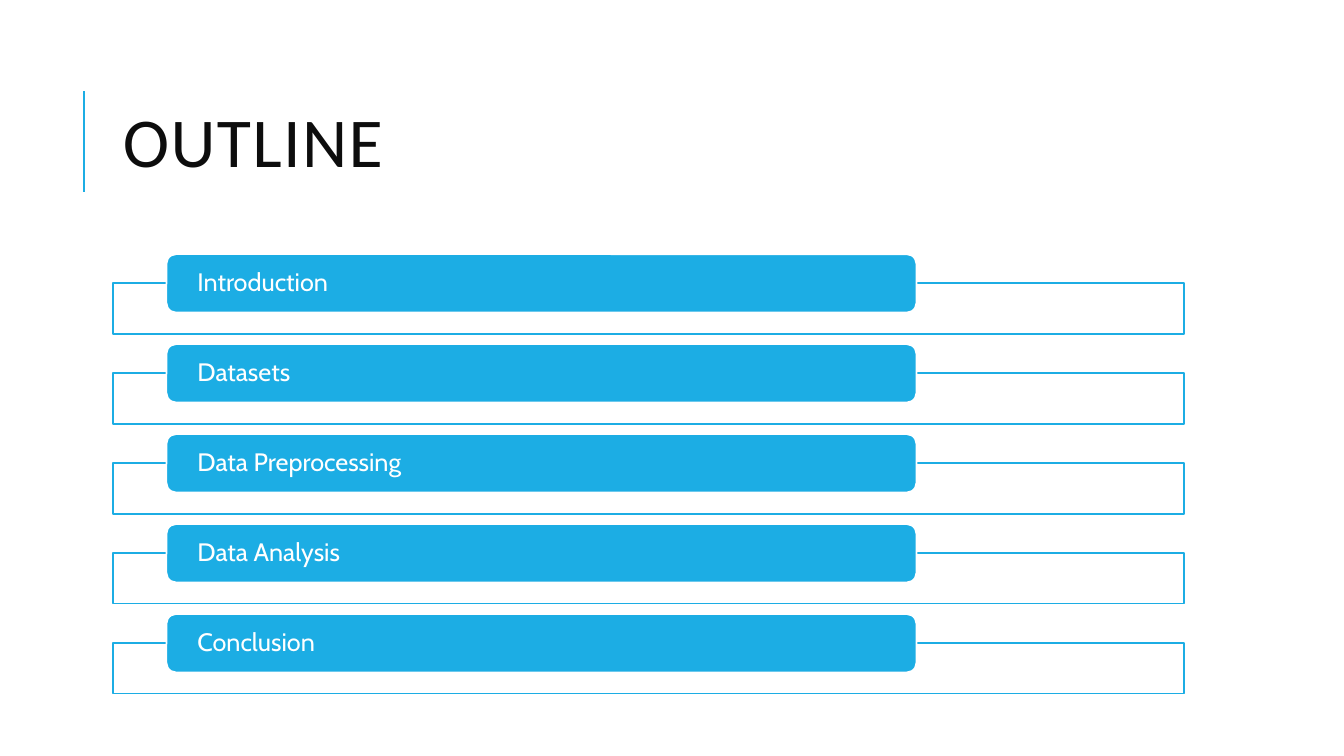
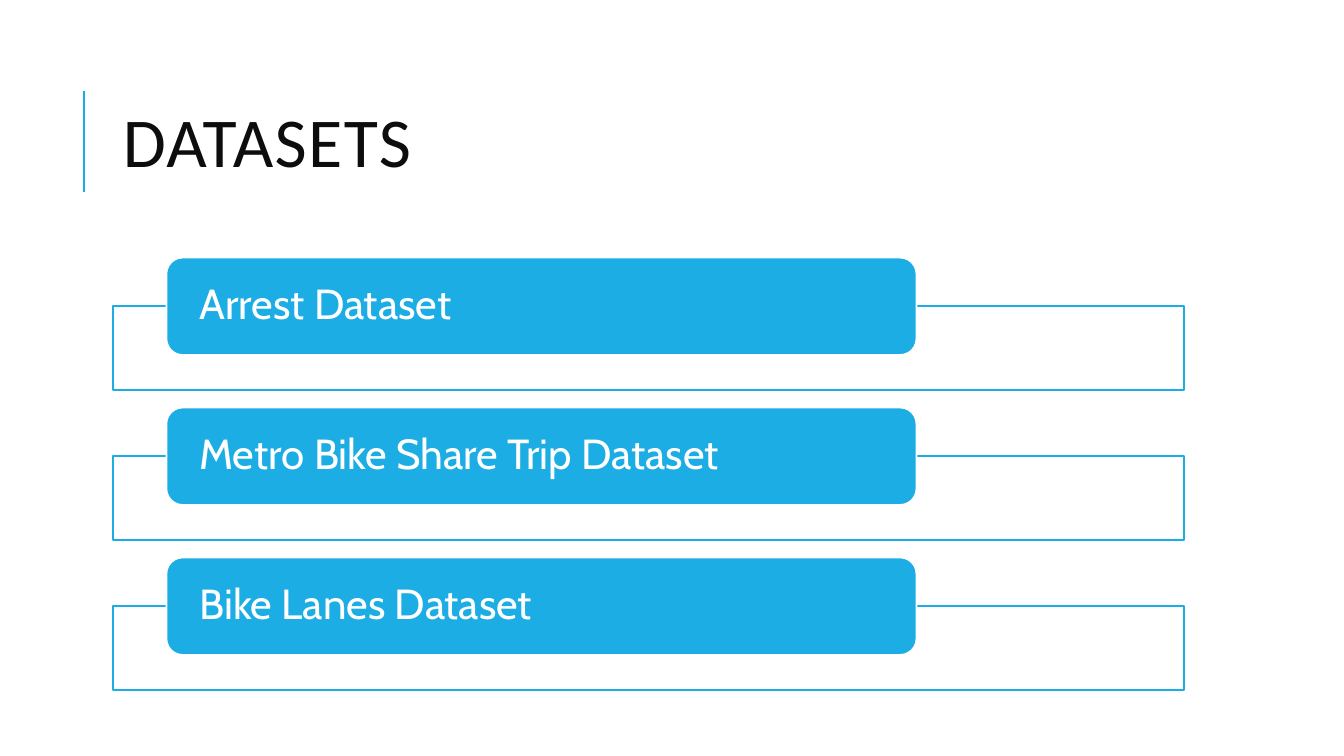
from dataclasses import dataclass

from lxml import etree
from pptx import Presentation
from pptx.dml.color import RGBColor
from pptx.enum import shapes, text
from pptx.oxml.ns import qn
from pptx.util import Pt


@dataclass(frozen=True)
class Theme:
    accent: RGBColor = RGBColor(0x1C, 0xAD, 0xE4)
    ink: RGBColor = RGBColor(0x0D, 0x0D, 0x0D)
    paper: RGBColor = RGBColor(0xFF, 0xFF, 0xFF)
    title_font: str = "Calibri"
    label_font: str = "Cabin"
    title_size: float = 50
    rule_width: float = 1.5
    outline_width: float = 1.25


@dataclass(frozen=True)
class Box:
    left: float
    top: float
    width: float
    height: float

    def points(self):
        return [Pt(v) for v in (self.left, self.top, self.width, self.height)]


THEME = Theme()
TITLE_BOX = Box(80.6, 46.1, 765.4, 118.1)
LIST_BOX = Box(80.6, 181, 765.4, 315)

# Heights of a list row, as multiples of its type size
LABEL_RATIO, FRAME_RATIO, PITCH_RATIO = 2.32, 2, 3.57
# Label position and width, as shares of the frame width
LABEL_INDENT, LABEL_SHARE = 0.05, 0.7

SECTIONS = [
    ("OUTLINE", 18, ["Introduction", "Datasets", "Data Preprocessing",
                     "Data Analysis", "Conclusion"]),
    ("DATASETS", 30, ["Arrest Dataset", "Metro Bike Share Trip Dataset",
                      "Bike Lanes Dataset"]),
]


def apply(target, formats):
    for name, value in formats.items():
        setattr(target, name, value)


def write(frame, wording, line_spacing, size, font_name, color):
    frame.text = wording
    apply(frame, dict(word_wrap=True, auto_size=text.MSO_AUTO_SIZE.NONE,
                      vertical_anchor=text.MSO_ANCHOR.MIDDLE))
    paragraph = frame.paragraphs[0]
    apply(paragraph, dict(alignment=text.PP_ALIGN.LEFT,
                          line_spacing=line_spacing))
    run_font = paragraph.runs[0].font
    apply(run_font, dict(size=Pt(size), name=font_name))
    run_font.color.rgb = color
    return run_font


def add_title_rule(slide):
    """Draw the rule beside the title and hand it to the slide's layout."""
    x = Pt(60)
    rule = slide.shapes.add_connector(
        shapes.MSO_CONNECTOR.STRAIGHT, x, Pt(136.8), x, Pt(64.8))
    rule.line.color.rgb = THEME.accent
    rule.line.width = Pt(THEME.rule_width)
    etree.SubElement(rule.element.spPr, qn("a:effectLst"))
    slide.slide_layout.shapes.element.append(rule.element)


def fill_title(slide, wording):
    title = slide.shapes.title
    apply(title, dict(zip(("left", "top", "width", "height"),
                          TITLE_BOX.points())))
    font = write(title.text_frame, wording, 0.8, THEME.title_size,
                 THEME.title_font, THEME.ink)
    font._element.set("spc", "100")


def add_panel(slide, preset, box, fill, outline):
    panel = slide.shapes.add_shape(preset, *box.points())
    panel.shadow.inherit = False
    panel.fill.solid()
    panel.fill.fore_color.rgb = fill
    panel.line.color.rgb = outline
    panel.line.width = Pt(THEME.outline_width)
    return panel


def add_list_row(slide, wording, size, box):
    """Place an open frame with a label straddling its top edge."""
    label_height = LABEL_RATIO * size
    frame_box = Box(box.left, box.top + label_height / 2,
                    box.width, FRAME_RATIO * size)
    label_box = Box(box.left + LABEL_INDENT * box.width, box.top,
                    LABEL_SHARE * box.width, label_height)
    add_panel(slide, shapes.MSO_SHAPE.RECTANGLE, frame_box,
              THEME.paper, THEME.accent)
    label = add_panel(slide, shapes.MSO_SHAPE.ROUNDED_RECTANGLE, label_box,
                      THEME.accent, THEME.paper)
    apply(label.text_frame, dict(margin_left=Pt(20.16), margin_right=Pt(20.16),
                                 margin_top=0, margin_bottom=0))
    write(label.text_frame, wording, 0.9, size, THEME.label_font, THEME.paper)


def add_list(slide, items, size, box):
    """Stack the rows and centre the stack vertically in the box."""
    row_height = (LABEL_RATIO / 2 + FRAME_RATIO) * size
    pitch = PITCH_RATIO * size
    stack_height = (len(items) - 1) * pitch + row_height
    top = box.top + (box.height - stack_height) / 2
    for index, item in enumerate(items):
        add_list_row(slide, item, size, Box(
            box.left, top + index * pitch, box.width, row_height))


def main():
    deck = Presentation()
    deck.slide_width, deck.slide_height = Pt(960), Pt(540)
    title_only = deck.slide_layouts[5]
    for index, (heading, size, items) in enumerate(SECTIONS):
        slide = deck.slides.add_slide(title_only)
        if index == 0:
            add_title_rule(slide)
        fill_title(slide, heading)
        add_list(slide, items, size, LIST_BOX)
    deck.save("out.pptx")


if __name__ == "__main__":
    main()
